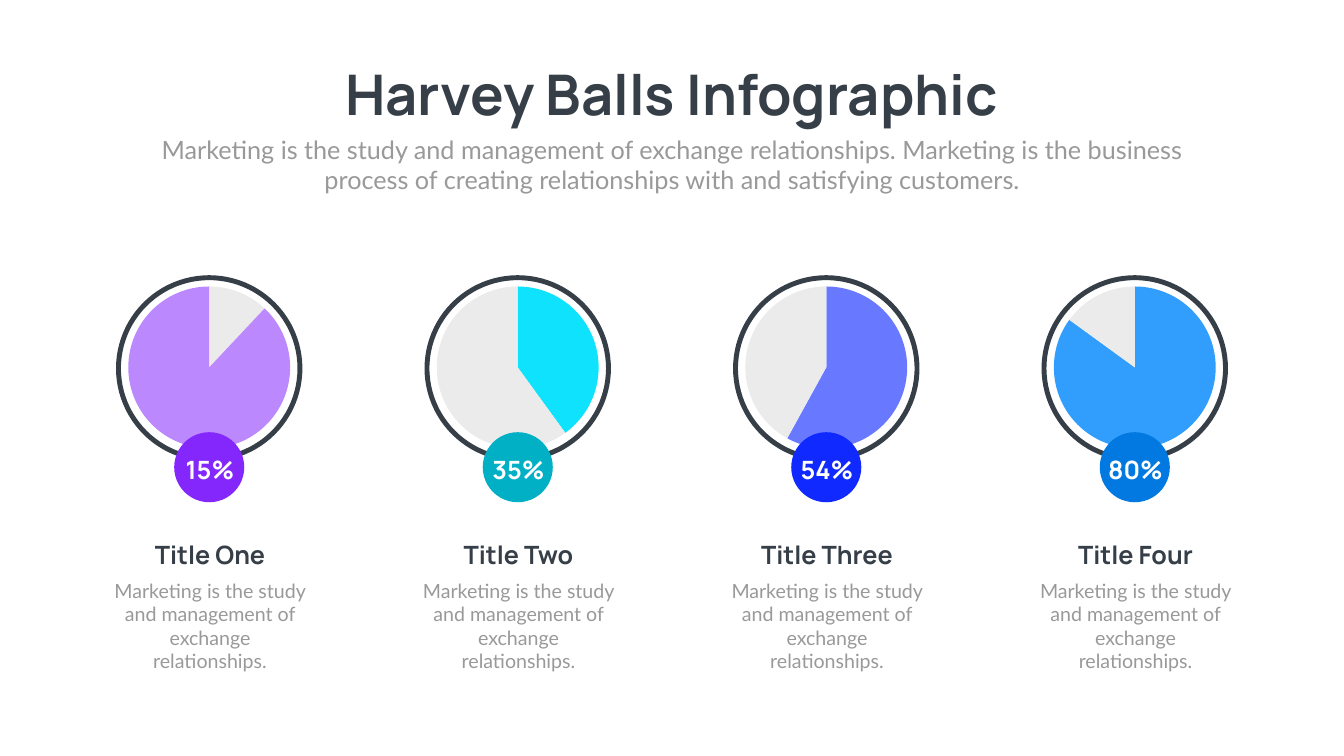
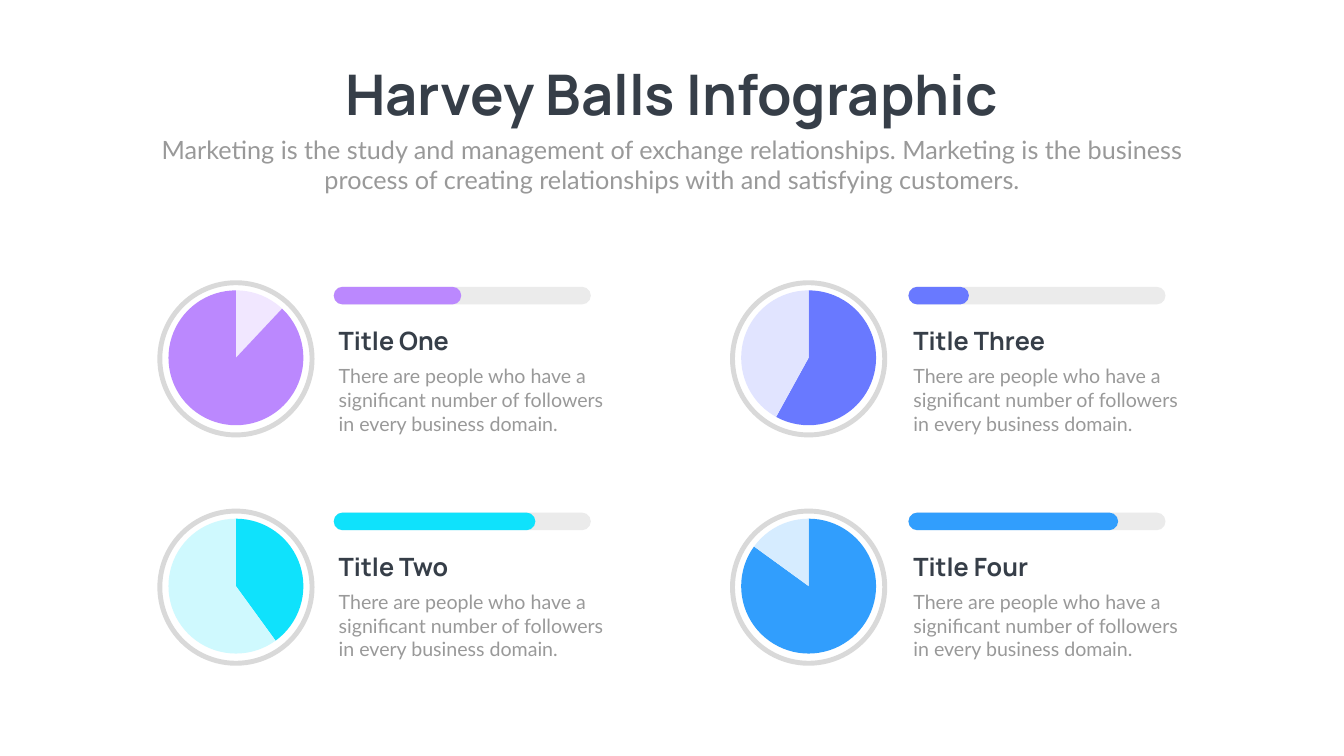
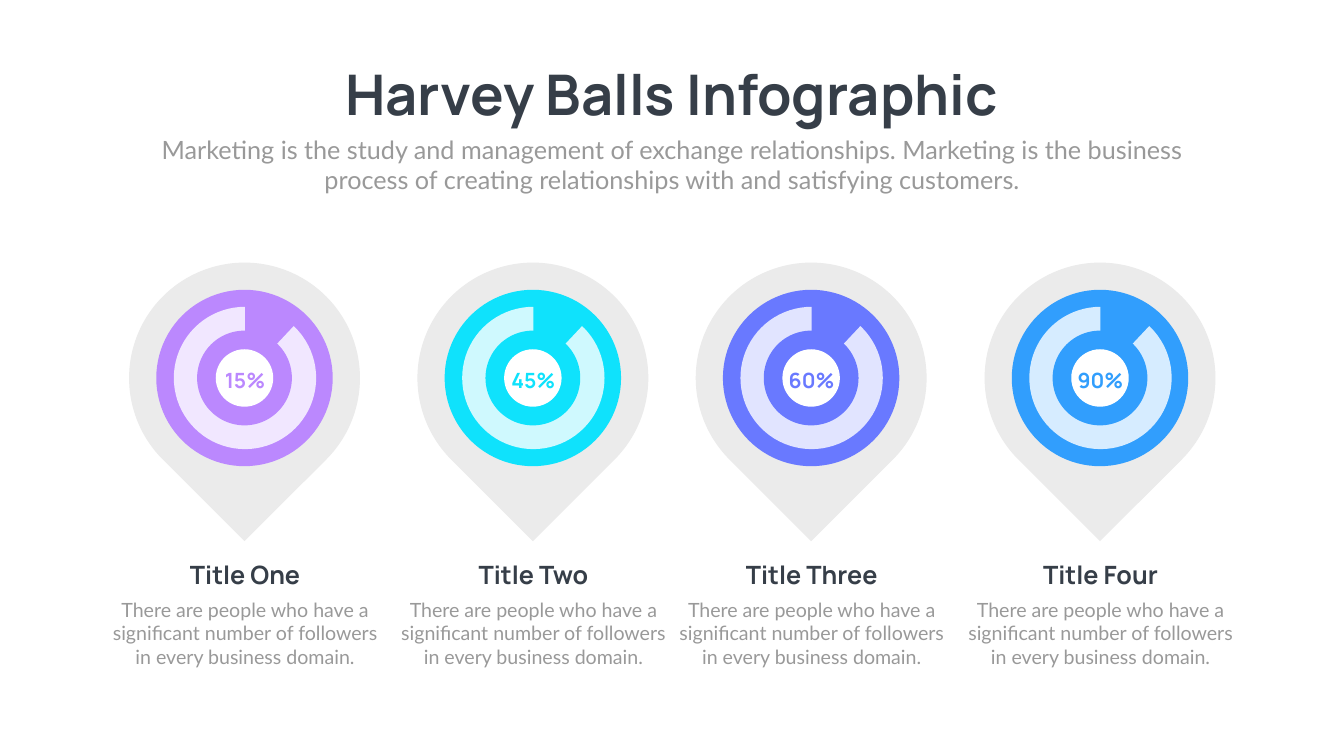
from pptx import Presentation
from pptx import util as u
from pptx.chart import data as chart_data
from pptx.dml.color import RGBColor
from pptx.enum import chart as charts, shapes, text
from pptx.oxml import parse_xml
from pptx.oxml.ns import nsdecls

PX = 9144  # 100 px to the inch
WIDTH, HEIGHT = 2666, 1500

INK, GREY, PALE, RING, WHITE = "363E48", "999999", "EBEBEB", "D9D9D9", "FFFFFF"
BRIGHT = ["BB88FE", "0FE2FC", "6979FF", "319EFD"]
TINT = ["F1E7FF", "CFF9FE", "E1E4FF", "D6ECFF"]
DEEP = ["8427FD", "02B0C6", "0F29FF", "0279E0"]
HEADINGS = ["Title One", "Title Two", "Title Three", "Title Four"]
SPLITS = [(12, 88), (40, 60), (58, 42), (85, 15)]

DECK_TITLE = "Harvey Balls Infographic"
INTRO = ("Marketing is the study and management of exchange relationships. "
         "Marketing is the business process of creating relationships with "
         "and satisfying customers.")
EXCHANGE = "Marketing is the study and management of exchange relationships."
FOLLOWERS = ("There are people who have a significant number of followers "
             "in every business domain.")

OVAL = shapes.MSO_SHAPE.OVAL
PILL = shapes.MSO_SHAPE.ROUNDED_RECTANGLE
TEARDROP = shapes.MSO_SHAPE.TEAR
CENTER, LEFT = text.PP_ALIGN.CENTER, text.PP_ALIGN.LEFT
PIE_SHARE = 0.92  # part of the chart frame that the pie takes


def rgb(hex_code):
    return RGBColor.from_string(hex_code)


def emu(*lengths):
    return [u.Emu(round(length * PX)) for length in lengths]


def paint(fill, colour):
    """Fill with a colour, or leave empty when there is none."""
    if colour:
        fill.solid()
        fill.fore_color.rgb = rgb(colour)
    else:
        fill.background()


def add_form(parent, preset, box, fill=None, outline=None):
    form = parent.add_shape(preset, *emu(*box))
    form.shadow.inherit = False
    paint(form.fill, fill)
    paint(form.line.fill, outline)
    if outline:
        form.line.width = u.Pt(7)
    return form


def add_disc(parent, cx, cy, size, fill=None, outline=None):
    box = (cx - size / 2, cy - size / 2, size, size)
    return add_form(parent, OVAL, box, fill, outline)


def add_words(parent, box, words, size, colour, font="Manrope", align=CENTER):
    frame = parent.add_textbox(*emu(*box)).text_frame
    frame.word_wrap = True
    frame.auto_size = text.MSO_AUTO_SIZE.SHAPE_TO_FIT_TEXT
    line = frame.paragraphs[0]
    line.alignment = align
    run = line.add_run()
    run.text = words
    run.font.name = font
    run.font.size = u.Pt(size)
    run.font.bold = font == "Manrope"
    run.font.color.rgb = rgb(colour)


def add_caption(parent, left, top, width, heading, body, align=CENTER):
    add_words(parent, (left, top + 77, width, 151), body, 28, GREY, "Lato", align)
    add_words(parent, (left, top, width, 71), heading, 36, INK, align=align)


def add_pie(parent, cx, cy, width, height, split, colours):
    content = chart_data.CategoryChartData()
    content.categories = ["1", "2"]
    content.add_series("Series 1", split)
    box = (cx - width / 2, cy - height / 2, width, height)
    pie = parent.add_chart(charts.XL_CHART_TYPE.PIE, *emu(*box), content).chart
    pie.has_legend = False
    pie.has_title = False
    pie.font.name = "Calibri"
    pie.font.size = u.Pt(18)
    pie.font.color.rgb = rgb(GREY)
    plot = pie.plots[0]
    plot.vary_by_categories = True
    for index, colour in enumerate(colours):
        slice_format = plot.series[0].points[index].format
        paint(slice_format.fill, colour)
        slice_format.line.fill.background()
    set_plot_layout(pie)


def set_plot_layout(pie):
    """Centre the pie in its frame at a fixed share of the size."""
    area = pie.element.chart.plotArea
    for old in area.xpath("./c:layout"):
        area.remove(old)
    margin = round((1 - PIE_SHARE) / 2, 2)
    area.insert(0, parse_xml(
        f'<c:layout {nsdecls("c")}><c:manualLayout>'
        '<c:layoutTarget val="inner"/><c:xMode val="edge"/><c:yMode val="edge"/>'
        f'<c:x val="{margin}"/><c:y val="{margin}"/>'
        f'<c:w val="{PIE_SHARE}"/><c:h val="{PIE_SHARE}"/>'
        '</c:manualLayout></c:layout>'))


def add_harvey_ball(parent, cx, cy, ring, split, colours, outline):
    """A pie on a white disc inside a ring of the given diameter."""
    add_disc(parent, cx, cy, ring - 5, WHITE)
    add_pie(parent, cx, cy - 2, ring - 5, ring - 11, split, colours)
    add_disc(parent, cx, cy, ring, outline=outline)


def ball_colours(index, rest):
    """The first ball shows its rest as the first slice."""
    return (rest, BRIGHT[index]) if index == 0 else (BRIGHT[index], rest)


def add_progress(parent, left, top, done, colour):
    bar = parent.add_group_shape().shapes
    for width, fill in ((510, PALE), (done, colour)):
        add_form(bar, PILL, (left, top, width, 35), fill).adjustments[0] = 0.5


def add_pin(parent, cx, cy, bright, tint):
    add_form(parent, TEARDROP, (cx - 229, cy - 229, 458, 458), PALE).rotation = 135
    gauge = parent.add_group_shape().shapes
    add_disc(gauge, cx, cy, 350, bright)
    add_pie(gauge, cx + 1, cy, 312, 307, (12, 88), (None, tint))
    add_disc(gauge, cx, cy, 188, bright)
    add_disc(gauge, cx, cy, 114, WHITE)


def start_slide(deck):
    canvas = deck.slides.add_slide(deck.slide_layouts[6]).shapes
    add_words(canvas, (488, 114, 1689, 145), DECK_TITLE, 80, INK)
    add_words(canvas, (292, 261, 2082, 131), INTRO, 36, GREY, "Lato")
    return canvas


def build_badges(deck):
    canvas = start_slide(deck)
    for i, share in enumerate(["15%", "35%", "54%", "80%"]):
        left = 210 + 612 * i
        cx = left + 205
        add_harvey_ball(canvas, cx, 731, 360, SPLITS[i], ball_colours(i, PALE), INK)
        add_caption(canvas, left, 1066, 413, HEADINGS[i], EXCHANGE)
        add_disc(canvas, cx, 927, 139, DEEP[i])
        add_words(canvas, (left, 897, 413, 71), share, 36, WHITE)


def build_progress_bars(deck):
    canvas = start_slide(deck)
    for i, done in enumerate([253, 400, 120, 416]):
        column, row = divmod(i, 2)
        left, top = 662 + 1140 * column, 569 + 448 * row
        add_harvey_ball(canvas, 468 + 1136 * column, 712 + 453 * row, 302,
                        SPLITS[i], ball_colours(i, TINT[i]), RING)
        add_progress(canvas, left, top, done, BRIGHT[i])
        caption = canvas.add_group_shape().shapes
        add_caption(caption, left, top + 72, 548, HEADINGS[i], FOLLOWERS, LEFT)


def build_pins(deck):
    canvas = start_slide(deck)
    centres = [485, 1057, 1609, 2182]
    for i, (cx, share) in enumerate(zip(centres, ["15%", "45%", "60%", "90%"])):
        left = cx - 273
        add_pin(canvas, cx, 750, BRIGHT[i], TINT[i])
        add_caption(canvas, left, 1104, 548, HEADINGS[i], FOLLOWERS)
        add_words(canvas, (left, 725, 548, 61), share, 30, BRIGHT[i])


def main():
    deck = Presentation()
    deck.slide_width, deck.slide_height = emu(WIDTH, HEIGHT)
    build_badges(deck)
    build_progress_bars(deck)
    build_pins(deck)
    deck.save("out.pptx")


if __name__ == "__main__":
    main()
